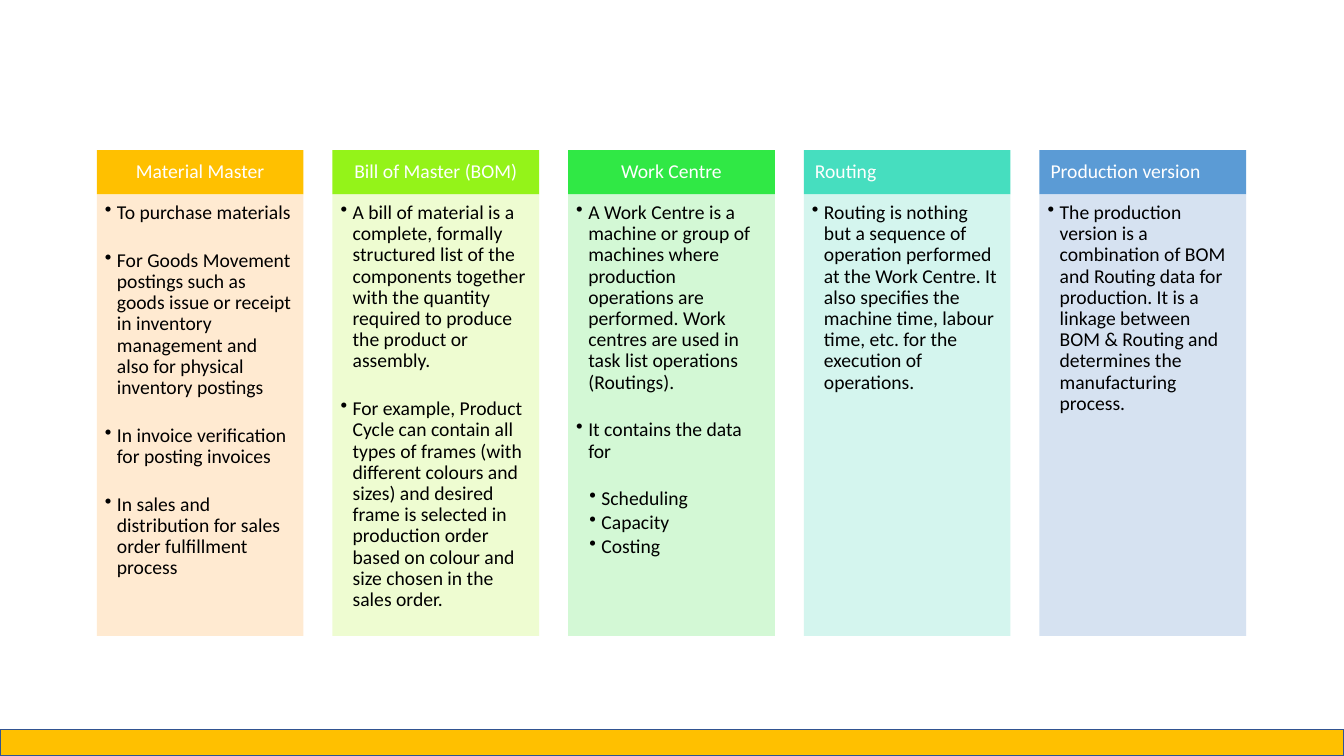
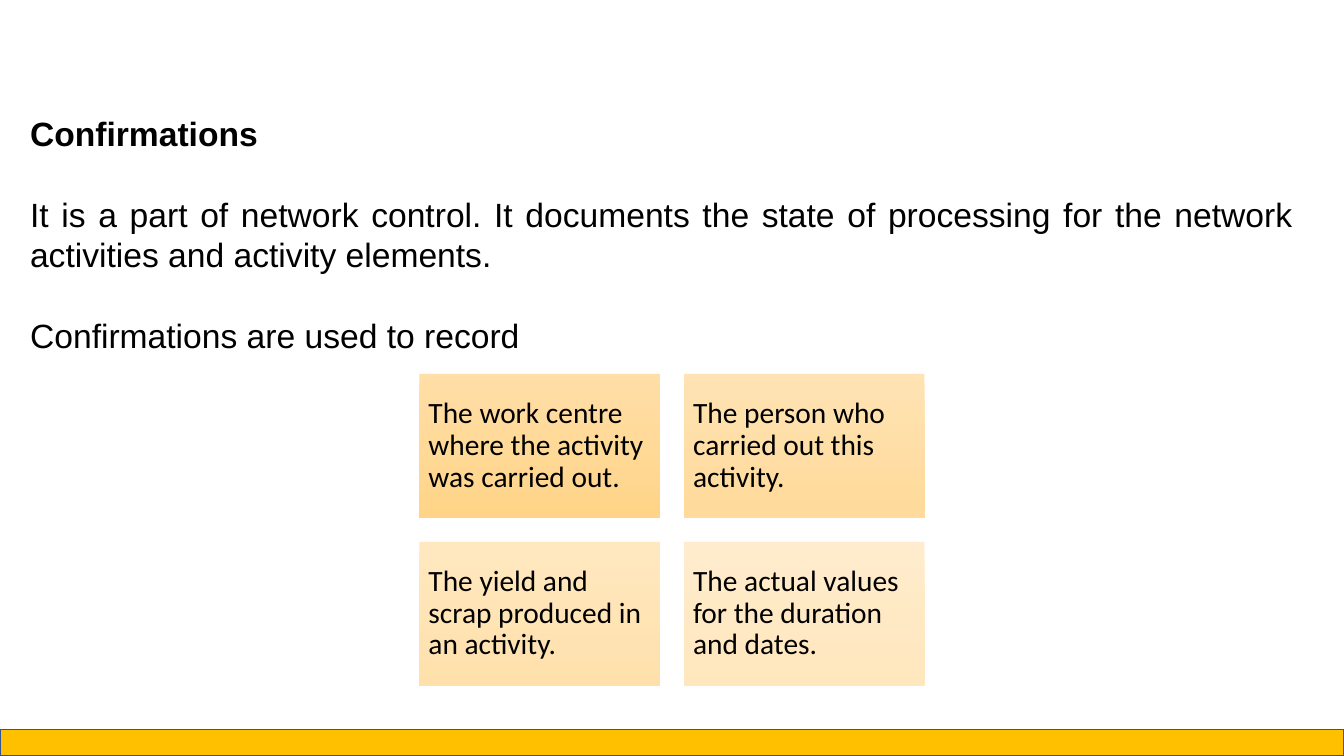
from lxml import etree
from pptx import Presentation
from pptx.dml.color import RGBColor
from pptx.enum.shapes import MSO_SHAPE
from pptx.enum.text import MSO_ANCHOR, PP_ALIGN
from pptx.oxml.ns import qn
from pptx.util import Inches, Pt

RECT = MSO_SHAPE.RECTANGLE
TOP, MIDDLE = MSO_ANCHOR.TOP, MSO_ANCHOR.MIDDLE
LEFT, CENTER, JUSTIFY = PP_ALIGN.LEFT, PP_ALIGN.CENTER, PP_ALIGN.JUSTIFY

WIDE, HIGH = 13.33, 7.5
COLORS = {"band": "FFC000", "edge": "325491", "text": "000000", "white": "FFFFFF",
          "light": "FFDB9E", "deep": "FFD07C"}
HEAD = {"size": Pt(14), "name": "Calibri", "color": "white"}
BODY = {"size": Pt(14), "name": "Calibri", "color": "text"}
CARD = {"size": Pt(21), "name": "Calibri", "color": "text"}
PROSE = {"size": Pt(24), "name": "Arial", "color": "text"}
WIDE_GAP, SLIM_GAP = 19, 2

COLUMNS = [
    ("Material Master", CENTER, "FFC000", "FFE8CC", [
        "To purchase materials",
        "For Goods Movement postings such as goods issue or receipt in inventory "
        "management and also for physical inventory postings",
        "In invoice verification for posting invoices",
        "In sales and distribution for sales order fulfillment process"], []),
    ("Bill of Master (BOM)", CENTER, "94F319", "EDFCCD", [
        "A bill of material is a complete, formally structured list of the components "
        "together with the quantity required to produce the product or assembly.",
        "For example, Product Cycle can contain all types of frames (with different "
        "colours and sizes) and desired frame is selected in production order based on "
        "colour and size chosen in the sales order."], []),
    ("Work Centre", CENTER, "30E845", "CFF8D1", [
        "A Work Centre is a machine or group of machines where production operations "
        "are performed. Work centres are used in task list operations (Routings).",
        "It contains the data for"], ["Scheduling", "Capacity", "Costing"]),
    ("Routing", LEFT, "46DEBF", "D0F4ED", [
        "Routing is nothing but a sequence of operation performed at the Work Centre. "
        "It also specifies the machine time, labour time, etc. for the execution of "
        "operations."], []),
    ("Production version", LEFT, "5B9BD5", "D2DFF0", [
        "The production version is a combination of BOM and Routing data for "
        "production. It is a linkage between BOM & Routing and determines the "
        "manufacturing process."], []),
]
CARDS = [
    ("The work centre where the activity was carried out.", 90),
    ("The person who carried out this activity.", 77),
    ("The yield and scrap produced in an activity.", 63),
    ("The actual values for the duration and dates.", 50),
]
NOTES = [
    ("Confirmations", True),
    ("It is a part of network control. It documents the state of processing for the "
     "network activities and activity elements.", False),
    ("Confirmations are used to record", False),
]


def tint(key):
    """Return the colour for a name or a hex string."""
    return RGBColor.from_string(COLORS.get(key, key))


def fade(fill, alpha):
    """Give every colour in a fill the same opacity in percent."""
    for color in fill.iter(qn("a:srgbClr")):
        etree.SubElement(color, qn("a:alpha"), val=str(alpha * 1000))


def block(slide, box, color=None):
    """Add a plain rectangle without line or shadow."""
    shape = slide.shapes.add_shape(RECT, *map(Inches, box))
    shape.shadow.inherit = False
    shape.line.fill.background()
    if color:
        shape.fill.solid()
        shape.fill.fore_color.rgb = tint(color)
    return shape


def frame(shape, anchor, pads):
    """Set wrapping, anchor and insets, and return the text frame."""
    text = shape.text_frame
    text.word_wrap = True
    text.vertical_anchor = anchor
    for side, pad in zip(("left", "top", "right", "bottom"), pads):
        setattr(text, "margin_" + side, Inches(pad))
    return text


def write(text, words, style, align=LEFT, space=0.9, gap=0, bold=False):
    """Write one paragraph into a text frame."""
    first = text.paragraphs[0]
    para = text.add_paragraph() if first.runs else first
    para.alignment, para.line_spacing, para.space_before = align, space, Pt(gap)
    run = para.add_run()
    run.text = words
    run.font.bold = bold
    for key, value in style.items():
        if key == "color":
            run.font.color.rgb = tint(value)
        else:
            setattr(run.font, key, value)
    return para


def bullet(para, indent):
    """Turn a paragraph into a bullet with a hanging indent."""
    props = para._p.get_or_add_pPr()
    props.set("marL", str(Inches(indent)))
    props.set("indent", str(-Inches(0.12)))
    etree.SubElement(props, qn("a:buChar"), char="•")


def band(slide):
    """Draw the footer band."""
    shape = block(slide, (0, 7.24, WIDE, 0.26), "band")
    shape.line.color.rgb = tint("edge")
    shape.line.width = Pt(1)


def column(slide, box, head, align, dark, pale, points, subs):
    """Draw a header with a bulleted panel beneath it."""
    left, top, wide, high = box
    cap = 0.44
    shape = block(slide, (left, top, wide, cap), dark)
    write(frame(shape, MIDDLE, (0.11, 0.06, 0.11, 0.06)), head, HEAD, align)
    panel = block(slide, (left, top + cap, wide, high - cap), pale)
    fade(panel._element.spPr, 90)
    text = frame(panel, TOP, (0.08, 0.08, 0.11, 0.12))
    for items, indent, later in ((points, 0.12, WIDE_GAP), (subs, 0.25, SLIM_GAP)):
        for spot, words in enumerate(items):
            gap = later if spot else WIDE_GAP if items is subs else 0
            bullet(write(text, words, BODY, gap=gap), indent)


def columns(slide, box):
    """Spread the columns evenly across a box."""
    left, top, wide, high = box
    each = 2.05
    step = (wide - each) / (len(COLUMNS) - 1)
    for spot, data in enumerate(COLUMNS):
        column(slide, (left + spot * step, top, each, high), *data)


def prose(slide, box):
    """Write the heading and the justified text."""
    shape = slide.shapes.add_textbox(*map(Inches, box))
    text = frame(shape, TOP, (0.1, 0.05, 0.1, 0.05))
    pitch = 28.8
    for spot, (words, bold) in enumerate(NOTES):
        write(text, words, PROSE, JUSTIFY, Pt(pitch), pitch if spot else 0, bold)


def cards(slide, box):
    """Fill a box with a two-by-two grid of gradient cards."""
    left, top, wide, high = box
    gap = 0.24
    across, down = (wide - gap) / 2, (high - gap) / 2
    for spot, (words, alpha) in enumerate(CARDS):
        row, col = divmod(spot, 2)
        shape = block(slide, (left + col * (across + gap), top + row * (down + gap),
                              across, down))
        shape.fill.gradient()
        shape.fill.gradient_angle = 270
        for stop, color in zip(shape.fill.gradient_stops, ("light", "deep")):
            stop.color.rgb = tint(color)
        fade(shape._element.spPr, alpha)
        write(frame(shape, MIDDLE, (0.09,) * 4), words, CARD)


def main():
    """Build and save both slides."""
    deck = Presentation()
    deck.slide_width, deck.slide_height = Inches(WIDE), Inches(HIGH)
    parts = [
        [(columns, (0.96, 1.49, 11.4, 4.82))],
        [(prose, (0.2, 1.07, 12.72, 2.52)), (cards, (4.16, 3.71, 5.01, 3.09))],
    ]
    for regions in parts:
        slide = deck.slides.add_slide(deck.slide_layouts[6])
        band(slide)
        for draw, box in regions:
            draw(slide, box)
    deck.save("out.pptx")


if __name__ == "__main__":
    main()
